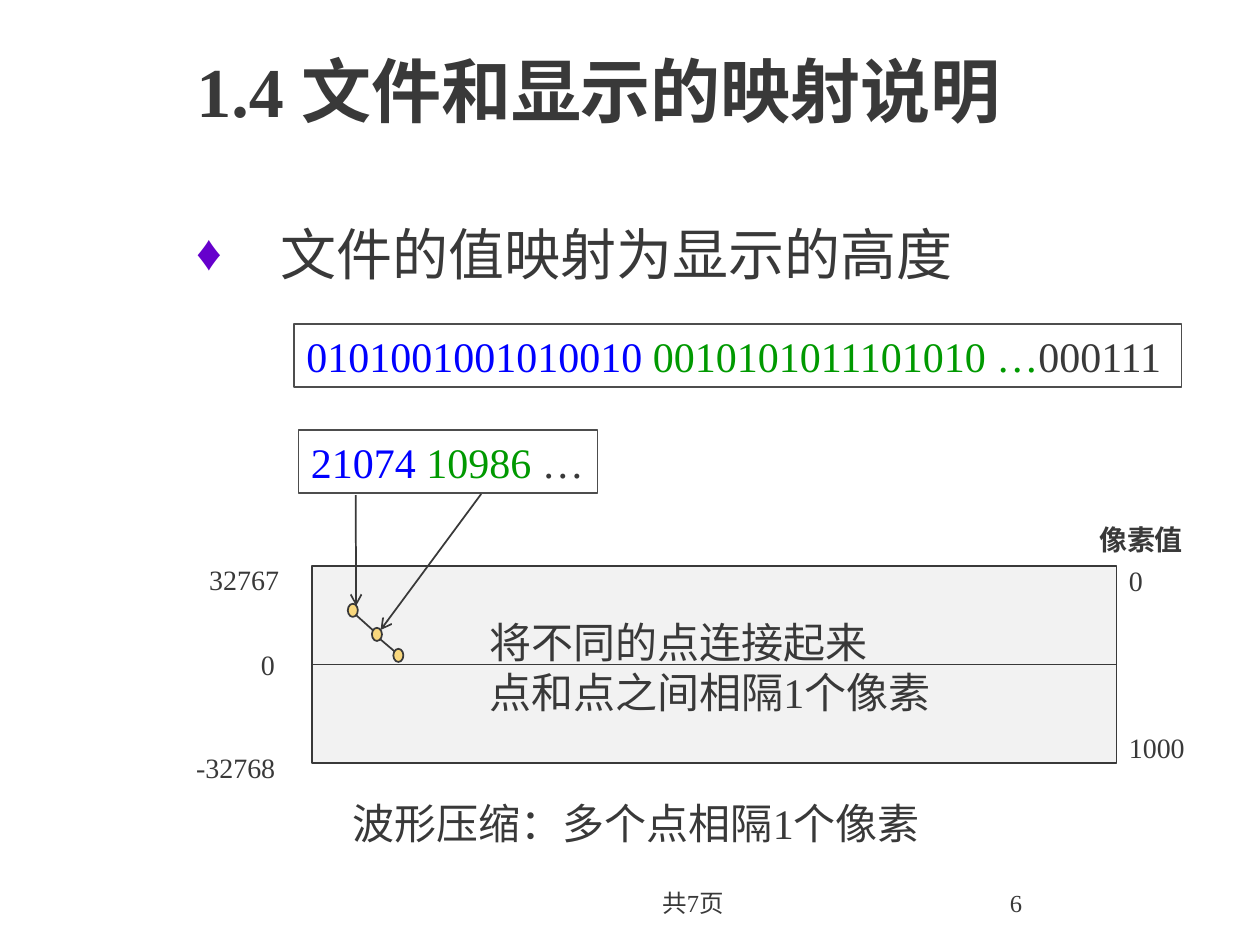
from lxml import etree
from pptx import Presentation
from pptx import util as u
from pptx.dml.color import RGBColor
from pptx.enum import shapes, text
from pptx.oxml import ns

FONT = "Times New Roman"
COLORS = {
    "ink": "393939",
    "frame": "4D4D4D",
    "panel": "F2F2F2",
    "sample": "F9D87E",
    "first": "0000FF",
    "second": "009900",
    "bullet": "6600CC",
}
FIT = {"word_wrap": False, "auto_size": text.MSO_AUTO_SIZE.SHAPE_TO_FIT_TEXT}
WRAP = {"word_wrap": True, "auto_size": text.MSO_AUTO_SIZE.NONE}

# Panel that shows the waveform: left, top, width, height
PANEL = (178.5, 323.25, 459.5, 113)
DOT_WIDTH, DOT_HEIGHT = 5.75, 7.5
DOTS = [(198.75, 345), (212.5, 358.75), (224.75, 370.75)]


def color(name):
    return RGBColor.from_string(COLORS[name])


def apply(target, values):
    for name, value in values.items():
        setattr(target, name, value)


def points(values):
    return [u.Pt(value) for value in values]


def write_runs(paragraph, runs, size, bold=False):
    for wording, color_name in runs:
        run = paragraph.add_run()
        run.text = wording
        apply(run.font, {"name": FONT, "size": u.Pt(size), "bold": bold})
        run.font.color.rgb = color(color_name)


def add_text(slide, box, lines, size, bold=False, frame_format=FIT, align=text.PP_ALIGN.LEFT):
    """Each line is a string or a list of (wording, color) runs."""
    shape = slide.shapes.add_textbox(*points(box))
    frame = shape.text_frame
    apply(frame, frame_format)
    for index, line in enumerate(lines):
        paragraph = frame.add_paragraph() if index else frame.paragraphs[0]
        paragraph.alignment = align
        runs = [(line, "ink")] if isinstance(line, str) else line
        write_runs(paragraph, runs, size, bold)
    return shape


def add_framed_text(slide, box, runs):
    shape = add_text(slide, box, [runs], 24)
    shape.line.color.rgb = color("frame")
    shape.line.width = u.Pt(0.75)


def add_filled_shape(slide, kind, box, fill):
    shape = slide.shapes.add_shape(kind, *points(box))
    shape.shadow.inherit = False
    shape.fill.solid()
    shape.fill.fore_color.rgb = color(fill)
    shape.line.color.rgb = color("ink")
    shape.line.width = u.Pt(1)


def add_line(slide, ends, arrow=False):
    line = slide.shapes.add_connector(shapes.MSO_CONNECTOR.STRAIGHT, *points(ends))
    line.line.color.rgb = color("ink")
    line.line.width = u.Pt(1)
    properties = line._element.spPr
    if arrow:
        etree.SubElement(properties.find(ns.qn("a:ln")), ns.qn("a:tailEnd"), type="arrow")
    etree.SubElement(properties, ns.qn("a:effectLst"))


def add_bullet(paragraph, indent):
    properties = paragraph._p.get_or_add_pPr()
    properties.set("marL", str(u.Pt(indent)))
    properties.set("indent", str(-u.Pt(indent)))
    bullet_color = etree.SubElement(properties, ns.qn("a:buClr"))
    etree.SubElement(bullet_color, ns.qn("a:srgbClr"), val=COLORS["bullet"])
    etree.SubElement(properties, ns.qn("a:buSzPct"), val="90000")
    etree.SubElement(properties, ns.qn("a:buFont"), typeface=FONT)
    etree.SubElement(properties, ns.qn("a:buChar"), char="♦")


def add_title(slide, wording):
    title = slide.shapes.title
    box = points((105, 3.5, 612, 95))
    apply(title, dict(zip(("left", "top", "width", "height"), box)))
    apply(title.text_frame, {**WRAP, "vertical_anchor": text.MSO_ANCHOR.MIDDLE})
    paragraph = title.text_frame.paragraphs[0]
    paragraph.alignment = text.PP_ALIGN.LEFT
    write_runs(paragraph, [(wording, "ink")], 40, bold=True)


def add_waveform(slide):
    left, top, width, height = PANEL
    right, middle = left + width, top + height / 2
    add_filled_shape(slide, shapes.MSO_SHAPE.RECTANGLE, PANEL, "panel")
    add_line(slide, (left, middle, right, middle))

    # Sample points, the segments between them and the arrows from the values
    for x, y in DOTS:
        add_filled_shape(slide, shapes.MSO_SHAPE.OVAL, (x, y, DOT_WIDTH, DOT_HEIGHT), "sample")
    for (x1, y1), (x2, y2) in zip(DOTS, DOTS[1:]):
        add_line(slide, (x1 + 4.75, y1 + 6.5, x2 + 0.75, y2 + 1.5))
    add_line(slide, (203.25, 283, 203.5, 346.25), arrow=True)
    add_line(slide, (275, 282.25, 217.5, 360), arrow=True)

    # Scale labels: file values on the left, pixel values on the right
    for wording, x, y, label_width in [
        ("32767", 112.5, 317.75, 56),
        ("0", 142, 366.5, 24),
        ("-32768", 105, 425.5, 61),
        ("0", right, 318.25, 24),
        ("1000", right, 414, 48),
    ]:
        add_text(slide, (x, y, label_width, 26.5), [wording], 16)
    add_text(slide, (621, 295, 64, 26.5), ["像素值"], 16, bold=True)


def main():
    presentation = Presentation()
    apply(presentation, {"slide_width": u.Pt(720), "slide_height": u.Pt(540)})
    slide = presentation.slides.add_slide(presentation.slide_layouts[5])

    # Title and statement
    add_title(slide, "1.4 文件和显示的映射说明")
    statement = add_text(slide, (105, 126, 612, 59), ["文件的值映射为显示的高度"], 32, frame_format=WRAP)
    paragraph = statement.text_frame.paragraphs[0]
    add_bullet(paragraph, 48)
    paragraph.line_spacing = 0.9

    # File content as bits and as numbers
    add_framed_text(slide, (168, 185.25, 507, 36), [
        ("0101001001010010 ", "first"), ("0010101011101010 …", "second"), ("000111", "ink")])
    add_framed_text(slide, (170.5, 245.75, 171, 36), [
        ("21074 ", "first"), ("10986 ", "second"), ("…", "ink")])

    # Display and its explanations
    add_waveform(slide)
    add_text(slide, (272.5, 348.5, 279, 65), ["将不同的点连接起来", "点和点之间相隔1个像素"], 24)
    add_text(slide, (194.5, 452, 351, 36), ["波形压缩：多个点相隔1个像素"], 24)

    # Page count and number
    add_text(slide, (282, 504, 228, 36), ["共7页"], 14, frame_format=WRAP, align=text.PP_ALIGN.CENTER)
    add_text(slide, (570, 504, 150, 36), ["6"], 14, frame_format=WRAP)

    presentation.save("out.pptx")


if __name__ == "__main__":
    main()
